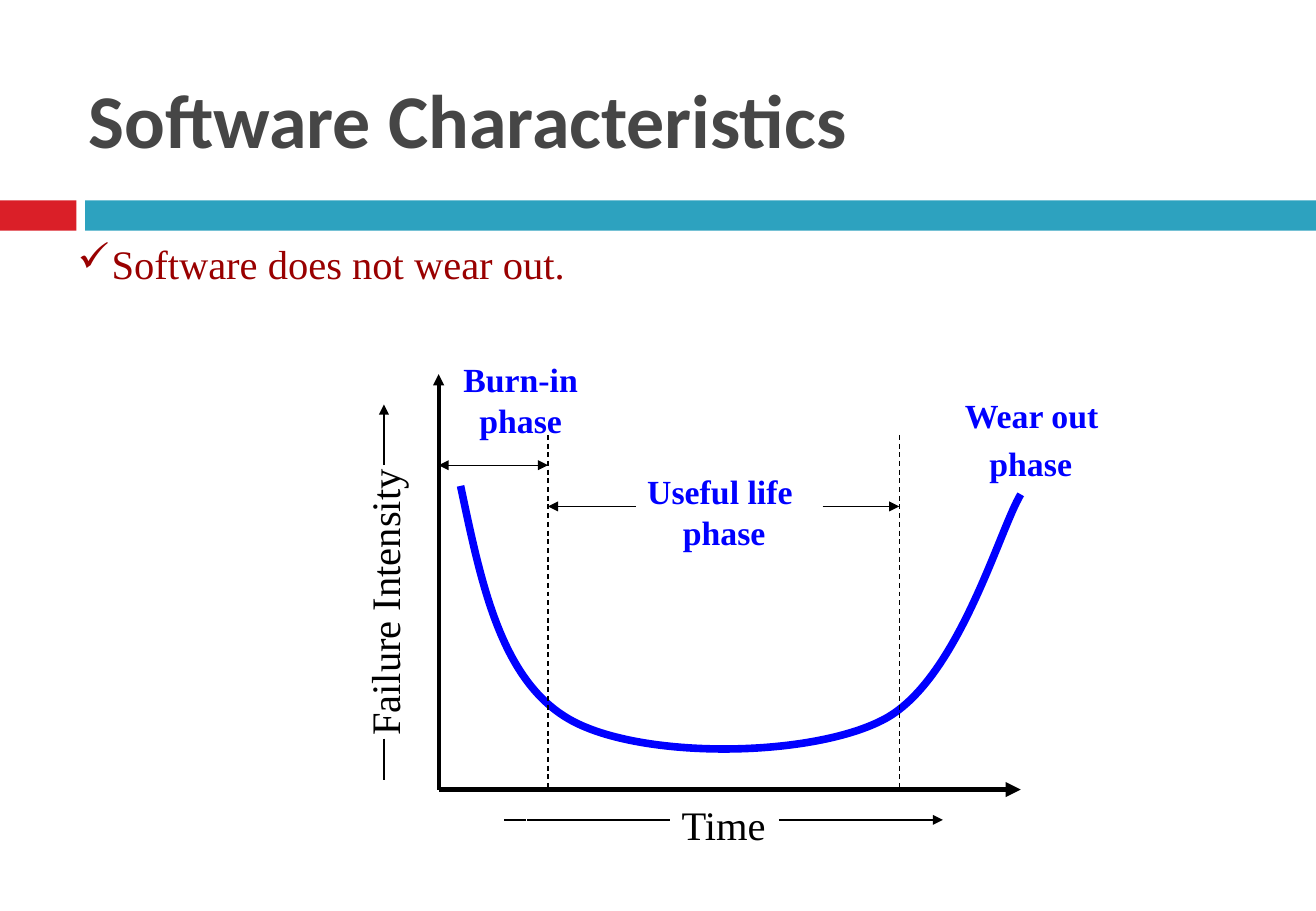
"""Build the Software Characteristics slide with its failure intensity curve."""
from dataclasses import dataclass

from lxml.etree import SubElement
from pptx import Presentation
from pptx.dml.color import RGBColor
from pptx.enum.dml import MSO_LINE
from pptx.enum.shapes import MSO_CONNECTOR, MSO_SHAPE
from pptx.enum.text import MSO_ANCHOR, PP_ALIGN
from pptx.oxml.ns import qn
from pptx.util import Emu, Pt

SCALE = 9144


@dataclass(frozen=True)
class Theme:
    heading_font: str = "Calibri"
    body_font: str = "Times New Roman"
    title: str = "464646"
    statement: str = "990000"
    accent: str = "DA1F28"
    band: str = "2DA2BF"
    curve: str = "0000FF"
    ink: str = "000000"
    paper: str = "FFFFFF"
    title_size: float = 45
    body_size: float = 24
    phase_size: float = 20
    thin: float = 0.75
    vertical_axis: float = 2.25
    horizontal_axis: float = 3
    curve_width: float = 4.5


def px(*lengths):
    return [Emu(length * SCALE) for length in lengths]


class SlideBuilder:
    def __init__(self, presentation, theme):
        self.theme = theme
        self.slide = presentation.slides.add_slide(presentation.slide_layouts[5])
        self.shapes = self.slide.shapes

    def style(self, paragraph, font_name, size, color, bold=False):
        font = paragraph.font
        font.name, font.size, font.bold = font_name, Pt(size), bold
        font.color.rgb = RGBColor.from_string(color)

    def stroke(self, shape, color, width):
        shape.line.color.rgb = RGBColor.from_string(color)
        shape.line.width = Pt(width)

    def title(self, text, left, top, width, height):
        shape = self.shapes.title
        shape.left, shape.top, shape.width, shape.height = px(left, top, width, height)
        frame = shape.text_frame
        frame.text = text
        frame.vertical_anchor = MSO_ANCHOR.MIDDLE
        paragraph = frame.paragraphs[0]
        paragraph.alignment = PP_ALIGN.LEFT
        self.style(paragraph, self.theme.heading_font, self.theme.title_size, self.theme.title, True)

    def bar(self, left, top, width, height, color):
        shape = self.shapes.add_shape(MSO_SHAPE.RECTANGLE, *px(left, top, width, height))
        shape.shadow.inherit = False
        shape.fill.solid()
        shape.fill.fore_color.rgb = RGBColor.from_string(color)
        shape.line.fill.background()

    def bullet(self, text, left, top, width, height, indent):
        frame = self.shapes.add_textbox(*px(left, top, width, height)).text_frame
        frame.word_wrap = True
        frame.vertical_anchor = MSO_ANCHOR.MIDDLE
        paragraph = frame.paragraphs[0]
        paragraph.text = text
        properties = paragraph._p.get_or_add_pPr()
        properties.set("marL", str(indent * SCALE))
        properties.set("indent", str(-indent * SCALE))
        SubElement(properties, qn("a:buChar"), char="✓")
        self.style(paragraph, self.theme.body_font, self.theme.body_size, self.theme.statement)

    def label(self, lines, left, top, width, height, size, color, bold=False, rotation=0):
        shape = self.shapes.add_shape(MSO_SHAPE.RECTANGLE, *px(left, top, width, height))
        shape.shadow.inherit = False
        shape.fill.background()
        shape.rotation = rotation
        self.stroke(shape, self.theme.paper, self.theme.thin)
        frame = shape.text_frame
        frame.word_wrap = False
        frame.vertical_anchor = MSO_ANCHOR.MIDDLE
        frame.text = "\n".join(lines)
        for paragraph in frame.paragraphs:
            paragraph.alignment = PP_ALIGN.CENTER
            self.style(paragraph, self.theme.body_font, size, color, bold)
        return frame

    def phase(self, lines, left, top, width):
        return self.label(lines, left, top, width, 58, self.theme.phase_size, self.theme.curve, True)

    def line(self, start, end, width=None, head=False, tail=False, dashed=False):
        connector = self.shapes.add_connector(MSO_CONNECTOR.STRAIGHT, *px(*start, *end))
        self.stroke(connector, self.theme.ink, width or self.theme.thin)
        if dashed:
            connector.line.dash_style = MSO_LINE.DASH
        properties = connector._element.spPr
        for tag, wanted in (("a:headEnd", head), ("a:tailEnd", tail)):
            if wanted:
                SubElement(properties.find(qn("a:ln")), qn(tag), type="triangle")
        SubElement(properties, qn("a:effectLst"))

    def curve(self, start, controls):
        builder = self.shapes.build_freeform(*start, scale=SCALE)
        builder.add_line_segments(controls, close=False)
        shape = builder.convert_to_shape()
        shape.shadow.inherit = False
        shape.fill.background()
        self.stroke(shape, self.theme.curve, self.theme.curve_width)
        outline = shape._element.spPr.find(".//" + qn("a:path"))
        segments = outline.findall(qn("a:lnTo"))
        for first in range(0, len(segments), 3):
            cubic = SubElement(outline, qn("a:cubicBezTo"))
            for segment in segments[first:first + 3]:
                cubic.append(segment[0])
                outline.remove(segment)


def main():
    presentation = Presentation()
    presentation.slide_width, presentation.slide_height = px(1083, 750)
    theme = Theme()
    builder = SlideBuilder(presentation, theme)

    builder.bar(0, 165, 63, 25, theme.accent)
    builder.bar(70, 165, 1013, 25, theme.band)
    builder.title("Software Characteristics", 63, 55, 966, 85)
    builder.bullet("Software does not wear out.", 54, 192, 966, 50, 28)

    axis_x, axis_y, burn_in_end, useful_end = 361, 650, 451, 740
    builder.line((415, 675), (551, 675))
    builder.line((axis_x, 308), (axis_x, axis_y), theme.vertical_axis, head=True)
    builder.line((axis_x, axis_y), (840, axis_y), theme.horizontal_axis, tail=True)
    builder.curve((379, 400), [
        (396, 480), (412, 561), (470, 593),
        (528, 625), (665, 624), (726, 593),
        (788, 562), (822, 437), (840, 407),
    ])
    for boundary in (useful_end, burn_in_end):
        builder.line((boundary, 358), (boundary, axis_y), dashed=True)
    builder.line((axis_x, 383), (burn_in_end, 383), head=True, tail=True)
    builder.line((677, 417), (useful_end, 417), tail=True)
    builder.line((burn_in_end, 417), (524, 417), head=True)

    builder.phase(["Useful life ", "phase"], 524, 392, 144)
    wear_out = builder.phase(["Wear out ", "phase"], 776, 333, 153)
    space = wear_out.paragraphs[1].add_run()
    space.text = " "
    space.font.size = Pt(theme.body_size)
    builder.phase(["Burn-in", "phase"], 406, 300, 45)

    builder.label(["Failure Intensity"], 295, 469, 42, 54, theme.body_size, theme.ink, rotation=270)
    builder.label(["Time"], 433, 658, 325, 42, theme.body_size, theme.ink)
    builder.line((641, 675), (776, 675), tail=True)
    builder.line((316, 383), (316, 333), tail=True)
    builder.line((316, 608), (316, 642))

    presentation.save("out.pptx")


if __name__ == "__main__":
    main()
